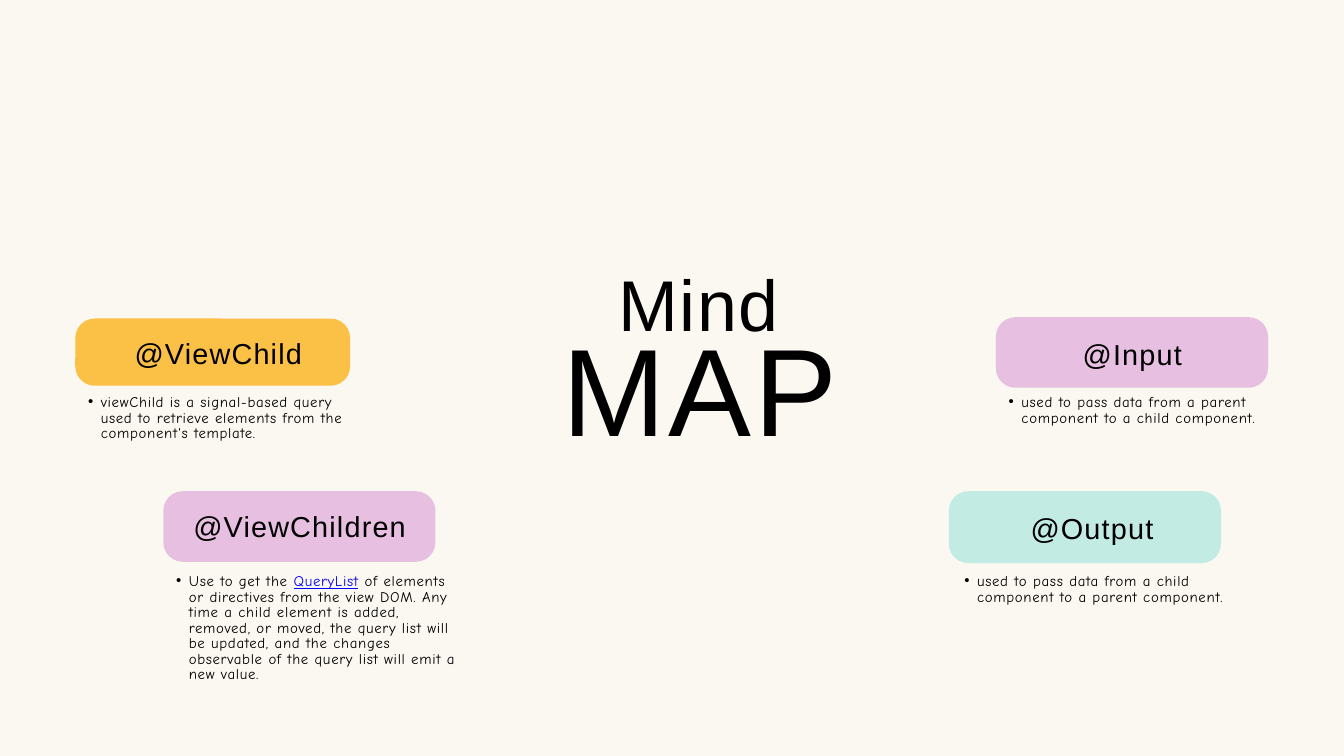
from dataclasses import dataclass

from lxml.etree import SubElement
from pptx import Presentation
from pptx.dml.color import RGBColor
from pptx.enum.shapes import MSO_SHAPE
from pptx.enum.text import MSO_AUTO_SIZE, PP_ALIGN
from pptx.oxml.ns import qn
from pptx.util import Inches, Pt

# Grid: 20 columns by 11.25 rows, one inch each
COLUMNS, ROWS = 20, 11.25
CELL = Inches(1)
CORNER = 0.29
NOTE_WIDTH = 4.38
LABEL_WIDTH, LABEL_HEIGHT = 3.38, 0.46

CREAM, BLACK, BLUE = "FBF7F1", "000000", "0000FF"
YELLOW, PINK, MINT = "FBC046", "E6BFE1", "C2EBE3"


@dataclass(frozen=True)
class Area:
    column: float
    row: float
    width: float
    height: float

    def lengths(self) -> list[int]:
        return [round(value * CELL) for value in (self.column, self.row, self.width, self.height)]


@dataclass(frozen=True)
class Style:
    font: str
    size: float
    line: float
    tracking: float


@dataclass(frozen=True)
class Topic:
    label: str
    label_at: tuple[float, float]
    card: Area
    color: str
    note: tuple[str, ...]  # every second part is a linked term
    note_area: Area


SMALL_TITLE = Style("Arial", 77, 76.2, 1.7)
LARGE_TITLE = Style("Arial", 133.1, 131.7, 2.9)
LABEL = Style("Arial", 30.9, 32.5, 1.3)
NOTE = Style("Comic Neue", 15.9, 16.7, 0.7)

TITLES = [
    ("Mind", Area(7.23, 4.09, 6.33, 1.12), SMALL_TITLE),
    ("MAP", Area(7.76, 5.03, 5.32, 1.92), LARGE_TITLE),
]

TOPICS = [
    Topic("@ViewChild", (1.56, 5.06), Area(1.12, 4.74, 4.09, 1), YELLOW,
          ("viewChild is a signal-based query used to retrieve elements "
           "from the component's template.",),
          Area(1.12, 5.88, NOTE_WIDTH, 0.47)),
    Topic("@ViewChildren", (2.77, 7.64), Area(2.43, 7.31, 4.05, 1.05), PINK,
          ("Use to get the ", "QueryList",
           " of elements or directives from the view DOM. Any time a child element "
           "is added, removed, or moved, the query list will be updated, and the "
           "changes observable of the query list will emit a new value."),
          Area(2.43, 8.54, NOTE_WIDTH, 1.16)),
    Topic("@Input", (15.16, 5.07), Area(14.82, 4.72, 4.05, 1.05), PINK,
          ("used to pass data from a parent component to a child component.",),
          Area(14.82, 5.88, NOTE_WIDTH, 0.47)),
    Topic("@Output", (14.56, 7.67), Area(14.12, 7.31, 4.05, 1.07), MINT,
          ("used to pass data from a child component to a parent component.",),
          Area(14.16, 8.54, NOTE_WIDTH, 0.47)),
]


def paint(target, color: str) -> None:
    """Give a fill a solid colour."""
    target.solid()
    target.fore_color.rgb = RGBColor.from_string(color)


def add_bullet(para) -> None:
    para.level = 1
    properties = para._p.get_or_add_pPr()
    properties.set("marL", str(Inches(0.38)))
    properties.set("indent", str(Inches(-0.19)))
    SubElement(properties, qn("a:buFont")).set("typeface", "Arial")
    SubElement(properties, qn("a:buChar")).set("char", "•")


def add_text(page, parts: tuple[str, ...], area: Area, style: Style, bullet: bool = False) -> None:
    box = page.shapes.add_textbox(*area.lengths())
    frame = box.text_frame
    frame.word_wrap = True
    frame.auto_size = MSO_AUTO_SIZE.SHAPE_TO_FIT_TEXT
    frame.margin_left = frame.margin_right = frame.margin_top = frame.margin_bottom = 0

    para = frame.paragraphs[0]
    para.alignment = PP_ALIGN.LEFT if bullet else PP_ALIGN.CENTER
    para.line_spacing = Pt(style.line)
    if bullet:
        add_bullet(para)
    para.font.name = style.font
    para.font.size = Pt(style.size)
    paint(para.font.fill, BLACK)

    for index, part in enumerate(parts):
        span = para.add_run()
        span.text = part
        span._r.get_or_add_rPr().set("spc", str(round(style.tracking * 100)))
        if index % 2:
            span.font.underline = True
            paint(span.font.fill, BLUE)


def add_card(page, area: Area, color: str) -> None:
    card = page.shapes.add_shape(MSO_SHAPE.ROUNDED_RECTANGLE, *area.lengths())
    card.adjustments[0] = CORNER / area.height
    card.shadow.inherit = False
    card.line.fill.background()
    paint(card.fill, color)


def main() -> None:
    deck = Presentation()
    deck.slide_width, deck.slide_height = round(COLUMNS * CELL), round(ROWS * CELL)
    page = deck.slides.add_slide(deck.slide_layouts[6])
    paint(page.background.fill, CREAM)

    # Centre title
    for title, area, style in TITLES:
        add_text(page, (title,), area, style)

    # Cards, then their labels, then the notes below
    for topic in TOPICS:
        add_card(page, topic.card, topic.color)
    for topic in TOPICS:
        add_text(page, (topic.label,), Area(*topic.label_at, LABEL_WIDTH, LABEL_HEIGHT), LABEL)
    for topic in TOPICS:
        add_text(page, topic.note, topic.note_area, NOTE, bullet=True)

    deck.save("out.pptx")


if __name__ == "__main__":
    main()
